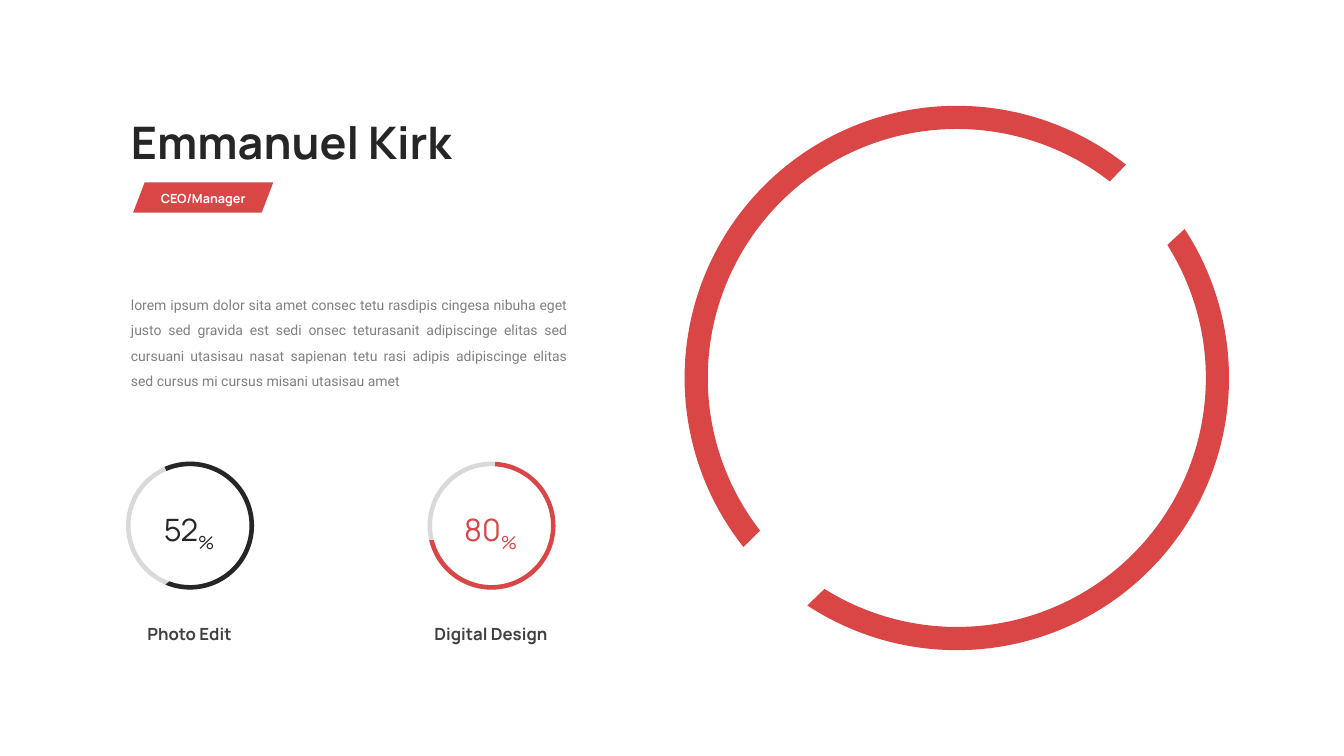
import math

import lxml.etree
import pptx
import pptx.dml.color
import pptx.enum.shapes
import pptx.enum.text
import pptx.oxml.ns
import pptx.util

PX = 9144  # EMU per px, 100 px to the inch


class Theme:
    red, dark, track = "DA4646", "262626", "D9D9D9"
    label, body, white = "404040", "808080", "FFFFFF"
    heading_font, body_font = "Manrope", "Roboto"
    title_size, value_size, label_size, body_size, tag_size = 32, 22, 12, 10, 9


Align = pptx.enum.text.PP_ALIGN
Shape = pptx.enum.shapes.MSO_SHAPE
rgb = pptx.dml.color.RGBColor.from_string
qn = pptx.oxml.ns.qn

deck = pptx.Presentation()
deck.slide_width, deck.slide_height = 1333 * PX, 750 * PX
page = deck.slides.add_slide(deck.slide_layouts[6])


def add_text(text, at, size, color, font=Theme.heading_font, bold=False,
             align=Align.LEFT, wrap=True, spacing=None, subscript=""):
    box = page.shapes.add_textbox(*(length * PX for length in at))
    frame = box.text_frame
    frame.word_wrap = wrap
    frame.auto_size = pptx.enum.text.MSO_AUTO_SIZE.SHAPE_TO_FIT_TEXT
    para = frame.paragraphs[0]
    para.alignment = align
    if spacing:
        para.line_spacing = spacing
    for part in filter(None, (text, subscript)):
        span = para.add_run()
        span.text = part
        span.font.name, span.font.size = font, pptx.util.Pt(size)
        span.font.bold = bold
        span.font.color.rgb = rgb(color)
    if subscript:
        span.font._element.set("baseline", "-25000")


def add_band(center, outer, inner, color):
    """Draw a ring section; each edge is (radius, start degree, end degree)."""
    points, arcs = [], []
    for (radius, start, end), order in ((outer, 1), (inner, -1)):
        # Stops at the quarter turns give the outline its full extent
        quarters = [turn for turn in range(-360, 361, 90) if start < turn < end]
        stops = [start, *quarters, end][::order]
        points += [((center[0] + radius * math.cos(math.radians(stop))) * PX,
                    (center[1] + radius * math.sin(math.radians(stop))) * PX)
                   for stop in stops]
        arcs += [(radius, begin, stop - begin) for begin, stop in zip(stops, stops[1:])]
        arcs.append(None)  # straight end of the section
    builder = page.shapes.build_freeform(*points[0])
    builder.add_line_segments(points[1:], close=True)
    band = builder.convert_to_shape()
    # Bend the lines along both edges into arcs
    outline = band._element.find(".//" + qn("a:path"))
    for line, arc in zip(outline.findall(qn("a:lnTo")), arcs):
        if arc:
            radius, begin, sweep = arc
            bend = lxml.etree.Element(qn("a:arcTo"))
            for key, number in (("wR", radius * PX), ("hR", radius * PX),
                                ("stAng", begin % 360 * 60000), ("swAng", sweep * 60000)):
                bend.set(key, str(round(number)))
            outline.replace(line, bend)
    band.shadow.inherit = False
    band.fill.solid()
    band.fill.fore_color.rgb = rgb(color)
    band.line.fill.background()


# Large broken ring
ring_center = (949, 375)
add_band(ring_center, (270, 141.6, 308.4), (247, 142.2, 307.9), Theme.red)
add_band(ring_center, (270, -33.2, 123.3), (247, -32.3, 122.1), Theme.red)

# Gauge tracks: a full ring on the left, a partial one on the right
dial_size, dial_top = 127, 458
dial_middle = dial_top + dial_size / 2
track = page.shapes.add_shape(Shape.BLOCK_ARC, 125 * PX, dial_top * PX,
                              dial_size * PX, dial_size * PX)
track.rotation = 90
for index, value in enumerate((40.559, 40.456, 0.035)):
    track.adjustments[index] = value
add_band((487.5, dial_middle), (63.5, 67.3, 291.6), (59, 67.6, 289.4), Theme.track)

# Gauge sections, values and labels
skills = [
    ("Photo Edit", "52", 188.5, Theme.dark, (-113.5, 112.7), (-113.3, 110.3)),
    ("Digital Design", "80", 487.5, Theme.red, (-86.8, 166.9), (-86.6, 165.8)),
]
for name, value, middle, color, outer, inner in skills:
    add_band((middle, dial_middle), (63.5, *outer), (59, *inner), color)
    add_text(value, (int(middle) - 55, 502, 109, 47), Theme.value_size, color,
             align=Align.CENTER, subscript="%")
    add_text(name, (int(middle) - 102, 614, 204, 30), Theme.label_size,
             Theme.label, bold=True, align=Align.CENTER)

# Name and role tag
add_text("Emmanuel Kirk", (120, 109, 389, 64), Theme.title_size, Theme.dark,
         bold=True, wrap=False)
tag = page.shapes.add_shape(Shape.PARALLELOGRAM, 132 * PX, 181 * PX, 139 * PX, 30 * PX)
tag.adjustments[0] = 0.382
for shape, color in ((track, Theme.track), (tag, Theme.red)):
    shape.shadow.inherit = False
    shape.fill.solid()
    shape.fill.fore_color.rgb = rgb(color)
    shape.line.fill.background()
add_text("CEO/Manager", (145, 184, 113, 25), Theme.tag_size, Theme.white,
         bold=True, align=Align.CENTER, wrap=False)

# Biography
add_text("lorem ipsum dolor sita amet consec tetu rasdipis cingesa nibuha eget "
         "justo sed gravida est sedi onsec teturasanit adipiscinge elitas sed "
         "cursuani utasisau nasat sapienan tetu rasi adipis adipiscinge elitas "
         "sed cursus mi cursus misani utasisau amet",
         (120, 281, 452, 111), Theme.body_size, Theme.body,
         font=Theme.body_font, align=Align.JUSTIFY, spacing=1.5)

deck.save("out.pptx")
